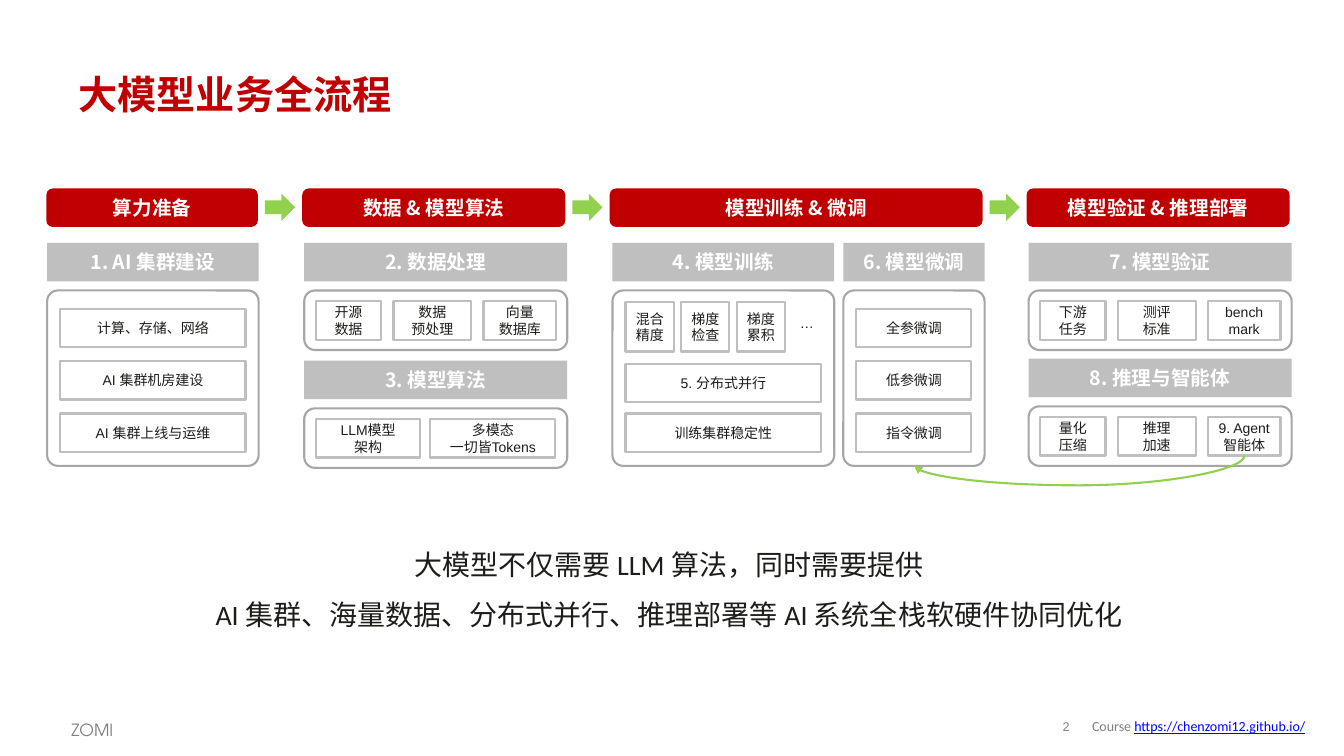
from lxml.etree import SubElement
from pptx import Presentation
from pptx.dml.color import RGBColor
from pptx.enum.shapes import MSO_CONNECTOR, MSO_SHAPE
from pptx.enum.text import MSO_ANCHOR, PP_ALIGN
from pptx.oxml.ns import qn
from pptx.util import Cm, Pt

RED = RGBColor(0xC0, 0x00, 0x00)
GREEN = RGBColor(0x92, 0xD0, 0x50)
WHITE = RGBColor(0xFF, 0xFF, 0xFF)
INK = RGBColor(0x1D, 0x1D, 0x1A)
GRAY = RGBColor(0x80, 0x80, 0x80)
BAR_GRAY = RGBColor(0xBF, 0xBF, 0xBF)
FRAME_GRAY = RGBColor(0xA6, 0xA6, 0xA6)
LINK_BLUE = RGBColor(0x00, 0x00, 0xFF)

HAN_FONT = "Noto Sans CJK SC"
TITLE_FONT = "TeX Gyre Adventor"
BAR_HEIGHT = 0.97
PANEL_TOP = 6.12
FRAME_OFFSET = 1.2
TALL_FRAME = 4.42
SHORT_FRAME = 1.5
ROW_INSET = 0.33


def write(box, text, size, name, color, bold=False, align=PP_ALIGN.CENTER,
          spacing=None, inset=0.25):
    frame = box.text_frame
    frame.word_wrap = True
    frame.vertical_anchor = MSO_ANCHOR.MIDDLE
    frame.margin_left = frame.margin_right = Cm(inset)
    frame.margin_top = frame.margin_bottom = Cm(0.1)
    frame.text = text
    for para in frame.paragraphs:
        para.alignment = align
        para.line_spacing = spacing
        para.font.size = Pt(size)
        para.font.bold = bold
        para.font.color.rgb = color
        para.font.name = name
        defaults = para._p.pPr.find(qn("a:defRPr"))
        SubElement(defaults, qn("a:ea")).set("typeface", HAN_FONT)


def add_text(page, left, top, width, height, text, size, name, color, **options):
    box = page.shapes.add_textbox(Cm(left), Cm(top), Cm(width), Cm(height))
    write(box, text, size, name, color, **options)
    return box


def add_block(page, kind, left, top, width, height, fill=None, line=None):
    block = page.shapes.add_shape(kind, Cm(left), Cm(top), Cm(width), Cm(height))
    block.shadow.inherit = False
    if fill is None:
        block.fill.background()
    else:
        block.fill.solid()
        block.fill.fore_color.rgb = fill
    if line is None:
        block.line.fill.background()
    else:
        block.line.color.rgb = line
        block.line.width = Pt(1.5)
    return block


def add_banner(page, left, top, width, text):
    banner = add_block(page, MSO_SHAPE.ROUNDED_RECTANGLE, left, top, width,
                       BAR_HEIGHT, fill=RED)
    write(banner, text, 14, HAN_FONT, WHITE, bold=True)


def add_panel(page, left, top, width, frame_height, heading):
    bar = add_block(page, MSO_SHAPE.RECTANGLE, left, top, width, BAR_HEIGHT,
                    fill=BAR_GRAY)
    write(bar, heading, 14, HAN_FONT, WHITE, bold=True)
    frame = add_block(page, MSO_SHAPE.ROUNDED_RECTANGLE, left, top + FRAME_OFFSET,
                      width, frame_height, line=FRAME_GRAY)
    frame.adjustments[0] = 0.27 / min(width, frame_height)


def add_chip(page, left, top, width, text, height=BAR_HEIGHT):
    chip = add_block(page, MSO_SHAPE.RECTANGLE, left, top, width, height,
                     line=BAR_GRAY)
    write(chip, text, 10, "Arial", INK, inset=0.15)
    return chip


def add_list_panel(page, left, top, width, heading, labels):
    add_panel(page, left, top, width, TALL_FRAME, heading)
    for index, label in enumerate(labels):
        add_chip(page, left + ROW_INSET, top + FRAME_OFFSET + 0.46 + index * 1.32,
                 width - 2 * ROW_INSET, label)


def add_row_panel(page, left, top, width, heading, labels, chip_widths, gap=0.31):
    add_panel(page, left, top, width, SHORT_FRAME, heading)
    chip_left = left + 0.29
    for label, chip_width in zip(labels, chip_widths):
        chip = add_chip(page, chip_left, top + FRAME_OFFSET + 0.27, chip_width, label)
        chip_left += chip_width + gap
    return chip


def add_training_panel(page, left, top, width):
    add_panel(page, left, top, width, TALL_FRAME, "4. 模型训练")
    inner_left, inner_top = left + ROW_INSET, top + FRAME_OFFSET
    for index, label in enumerate(["混合\n精度", "梯度\n检查", "梯度\n累积"]):
        add_chip(page, inner_left + index * 1.4, inner_top + 0.3, 1.22, label, 1.24)
    add_text(page, left + 4.47, inner_top + 0.48, 0.86, 0.69, "…", 10, "Arial", INK)
    for offset, label in [(1.85, "5. 分布式并行"), (3.1, "训练集群稳定性")]:
        add_chip(page, inner_left, inner_top + offset, width - 2 * ROW_INSET, label)


def add_feedback_arrow(page, left, top, width, height):
    middle_x, middle_y = left + width / 2, top + height / 2
    arrow = page.shapes.add_connector(
        MSO_CONNECTOR.CURVE,
        Cm(middle_x - height / 2), Cm(middle_y - width / 2),
        Cm(middle_x + height / 2), Cm(middle_y + width / 2))
    arrow.line.color.rgb = GREEN
    arrow.line.width = Pt(1.5)
    properties = arrow._element.spPr
    properties.find(qn("a:xfrm")).set("rot", "5400000")
    guides = properties.find(qn("a:prstGeom")).get_or_add_avLst()
    guide = SubElement(guides, qn("a:gd"))
    guide.set("name", "adj1")
    guide.set("fmla", "val 300200")
    SubElement(properties.find(qn("a:ln")), qn("a:tailEnd")).set("type", "triangle")
    SubElement(properties, qn("a:effectLst"))


def add_banners(page, top):
    stages = [(1.17, 5.33, "算力准备"), (7.62, 6.63, "数据 & 模型算法"),
              (15.37, 9.4, "模型训练 & 微调"), (25.88, 6.63, "模型验证 & 推理部署")]
    for left, width, label in stages:
        add_banner(page, left, top, width, label)
    for left, width, _ in stages[:-1]:
        add_block(page, MSO_SHAPE.RIGHT_ARROW, left + width + 0.18, top + 0.13,
                  0.76, 0.69, fill=GREEN)


def add_panels(page, top):
    thirds = [1.65, 1.96, 1.83]
    add_list_panel(page, 1.19, top, 5.33, "1. AI 集群建设",
                   ["计算、存储、网络", "AI 集群机房建设", "AI 集群上线与运维"])
    add_row_panel(page, 7.67, top, 6.63, "2. 数据处理",
                  ["开源\n数据", "数据\n预处理", "向量\n数据库"], thirds)
    add_row_panel(page, 7.67, top + 2.97, 6.63, "3. 模型算法",
                  ["LLM模型\n架构", "多模态\n一切皆Tokens"], [2.64, 3.15], 0.25)
    add_training_panel(page, 15.44, top, 5.59)
    add_list_panel(page, 21.26, top, 3.56, "6. 模型微调",
                   ["全参微调", "低参微调", "指令微调"])
    add_row_panel(page, 25.93, top, 6.63, "7. 模型验证",
                  ["下游\n任务", "测评\n标准", "bench\nmark"], thirds)
    add_row_panel(page, 25.93, top + 2.92, 6.63, "8. 推理与智能体",
                  ["量化\n压缩", "推理\n加速", "9. Agent\n智能体"], thirds)
    add_feedback_arrow(page, 23.04, top + 5.36, 8.33, 0.25)


def add_footer(page, top):
    add_text(page, 1.55, top, 2.03, 0.81, "ZOMI", 12, TITLE_FONT, GRAY,
             align=PP_ALIGN.LEFT, spacing=1.2)
    add_text(page, 26.42, top, 0.91, 0.79, "2", 9, "Arial", GRAY,
             spacing=0.85, inset=0)
    course = add_text(page, 27.28, top, 6.25, 0.74, "Course ", 10, "Calibri", GRAY,
                      align=PP_ALIGN.LEFT)
    span = course.text_frame.paragraphs[0].add_run()
    span.text = "https://chenzomi12.github.io/"
    span.font.color.rgb = LINK_BLUE
    span.font.underline = True


def main():
    deck = Presentation()
    deck.slide_width, deck.slide_height = Cm(33.88), Cm(19.05)
    page = deck.slides.add_slide(deck.slide_layouts[6])
    add_text(page, 1.73, 1.55, 30.45, 1.63, "大模型业务全流程", 28, TITLE_FONT, RED,
             bold=True, align=PP_ALIGN.LEFT)
    add_banners(page, 4.75)
    add_panels(page, PANEL_TOP)
    add_text(page, 1.17, 13.31, 31.39, 2.67,
             "大模型不仅需要 LLM 算法，同时需要提供\n"
             "AI 集群、海量数据、分布式并行、推理部署等 AI 系统全栈软硬件协同优化",
             20, "Calibri", INK, spacing=1.5)
    add_footer(page, 17.93)
    deck.save("out.pptx")


if __name__ == "__main__":
    main()
